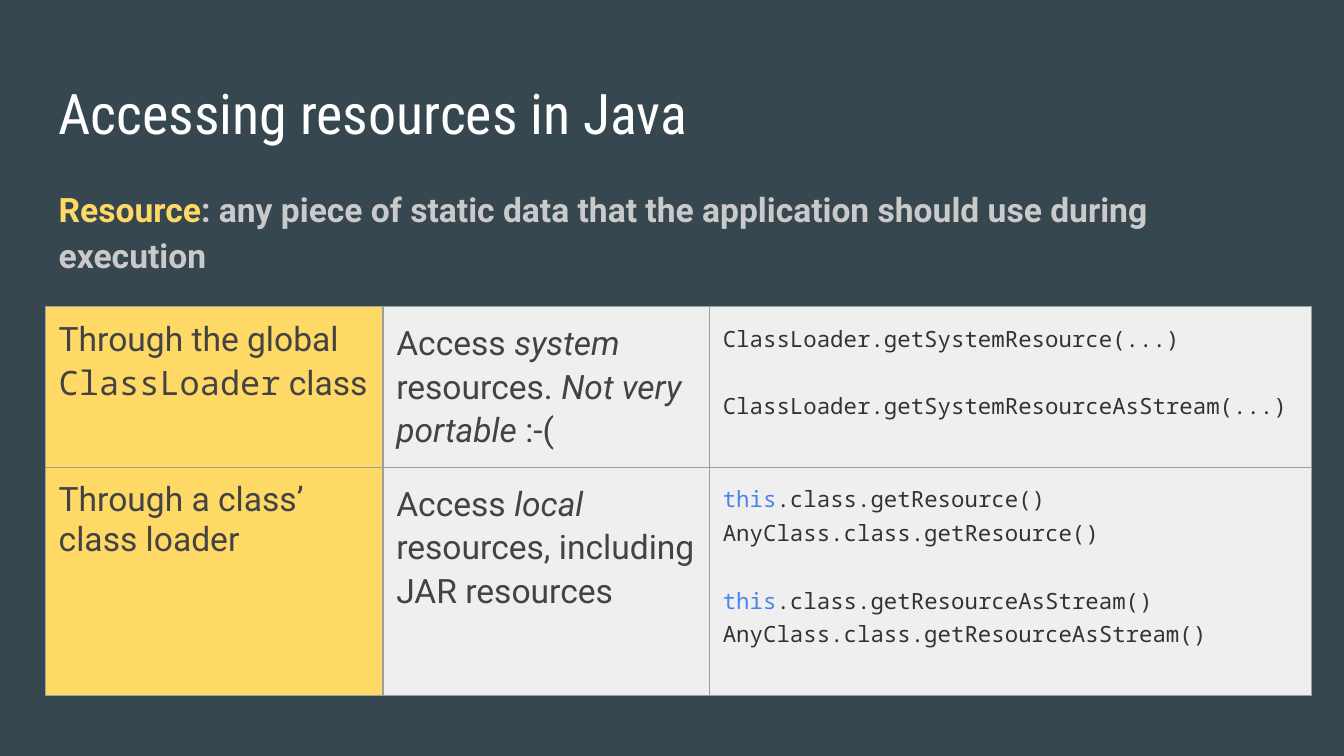
from dataclasses import dataclass

from lxml.etree import SubElement
from pptx import Presentation
from pptx.dml.color import RGBColor
from pptx.enum.text import MSO_ANCHOR
from pptx.oxml.ns import qn
from pptx.slide import Slide
from pptx.table import _Cell
from pptx.text.text import TextFrame
from pptx.util import Cm, Pt

COLORS = {
    "background": "37474F",
    "title": "FFFFFF",
    "accent": "FFD966",
    "definition": "CACACA",
    "cell": "EFEFEF",
    "border": "9E9E9E",
    "label": "434343",
    "code": "333333",
    "keyword": "4A86E8",
}

FORMATS = {
    "title": {"name": "Roboto Condensed", "size": Pt(30), "color": "title"},
    "term": {"name": "Roboto", "size": Pt(18), "bold": True, "color": "accent"},
    "definition": {"name": "Roboto", "size": Pt(18), "bold": True, "color": "definition"},
    "label": {"name": "Roboto", "size": Pt(18), "color": "label"},
    "emphasis": {"name": "Roboto", "size": Pt(18), "italic": True, "color": "label"},
    "class_name": {"name": "Noto Sans Mono", "size": Pt(18), "color": "label"},
    "code": {"name": "Noto Sans Mono", "size": Pt(12), "color": "code"},
    "keyword": {"name": "Noto Sans Mono", "size": Pt(12), "color": "keyword"},
}

MARGIN = Cm(0.25)
LEFT = Cm(0.86)
COLUMN_WIDTHS = [Cm(6.38), Cm(6.17), Cm(11.38)]
ROW_HEIGHTS = [Cm(2.95), Cm(4.31)]
TABLE_TOP = Cm(5.8)


@dataclass(frozen=True)
class Span:
    text: str
    style: str


@dataclass(frozen=True)
class Line:
    spans: list[Span]
    spacing: float = 1.0
    space_before: float = 0


@dataclass(frozen=True)
class TextBlock:
    top: Cm
    width: Cm
    height: Cm
    line: Line


@dataclass(frozen=True)
class AccessMethod:
    label: Line
    description: Line
    calls: list[Line]


def code_line(call: str, keyword: str = "", space_before: float = 0) -> Line:
    spans = [Span(keyword, "keyword")] if keyword else []
    return Line(spans + [Span(call, "code")], 1.11, space_before)


TEXT_BLOCKS = [
    TextBlock(Cm(1.24), Cm(23.67), Cm(1.6), Line([Span("Accessing resources in Java", "title")])),
    TextBlock(Cm(3.2), Cm(23.93), Cm(1.78), Line([
        Span("Resource", "term"),
        Span(": any piece of static data that the application should use during execution", "definition"),
    ], 1.15)),
]

ACCESS_METHODS = [
    AccessMethod(
        Line([Span("Through the global ", "label"), Span("ClassLoader", "class_name"), Span(" class", "label")]),
        Line([
            Span("Access ", "label"),
            Span("system", "emphasis"),
            Span(" resources. ", "label"),
            Span("Not very portable", "emphasis"),
            Span(" :-(", "label"),
        ], 1.11),
        [
            code_line("ClassLoader.getSystemResource(...)"),
            code_line("ClassLoader.getSystemResourceAsStream(...)", space_before=18),
        ],
    ),
    AccessMethod(
        Line([Span("Through a class’ class loader", "label")]),
        Line([
            Span("Access ", "label"),
            Span("local", "emphasis"),
            Span(" resources, including JAR resources", "label"),
        ], 1.11),
        [
            code_line(".class.getResource()", "this"),
            code_line("AnyClass.class.getResource()"),
            code_line(".class.getResourceAsStream()", "this", 18),
            code_line("AnyClass.class.getResourceAsStream()"),
        ],
    ),
]


def color(name: str) -> RGBColor:
    return RGBColor.from_string(COLORS[name])


def set_margins(target: TextFrame | _Cell) -> None:
    for side in ("left", "right", "top", "bottom"):
        setattr(target, f"margin_{side}", MARGIN)


def write_lines(frame: TextFrame, lines: list[Line]) -> None:
    for index, line in enumerate(lines):
        paragraph = frame.add_paragraph() if index else frame.paragraphs[0]
        paragraph.line_spacing = line.spacing
        paragraph.space_before = Pt(line.space_before)
        for span in line.spans:
            run = paragraph.add_run()
            run.text = span.text
            for attribute, value in FORMATS[span.style].items():
                if attribute == "color":
                    run.font.color.rgb = color(value)
                else:
                    setattr(run.font, attribute, value)


def draw_text_block(slide: Slide, block: TextBlock) -> None:
    frame = slide.shapes.add_textbox(LEFT, block.top, block.width, block.height).text_frame
    frame.word_wrap = True
    frame.vertical_anchor = MSO_ANCHOR.TOP
    set_margins(frame)
    write_lines(frame, [block.line])


def draw_borders(cell: _Cell) -> None:
    properties = cell._tc.get_or_add_tcPr()
    for side in ("lnL", "lnR", "lnT", "lnB"):
        border = SubElement(properties, qn(f"a:{side}"), w=str(Pt(0.75)))
        fill = SubElement(border, qn("a:solidFill"))
        SubElement(fill, qn("a:srgbClr"), val=COLORS["border"])


def draw_cell(cell: _Cell, lines: list[Line], fill_name: str) -> None:
    set_margins(cell)
    draw_borders(cell)
    cell.fill.solid()
    cell.fill.fore_color.rgb = color(fill_name)
    write_lines(cell.text_frame, lines)


def draw_table(slide: Slide, methods: list[AccessMethod]) -> None:
    table = slide.shapes.add_table(
        len(methods), len(COLUMN_WIDTHS), LEFT, TABLE_TOP, sum(COLUMN_WIDTHS), sum(ROW_HEIGHTS)
    ).table
    table.first_row = False
    table.horz_banding = False
    for column, width in zip(table.columns, COLUMN_WIDTHS):
        column.width = width
    for row, height, method in zip(table.rows, ROW_HEIGHTS, methods):
        row.height = height
        contents = [[method.label], [method.description], method.calls]
        for cell, lines, fill_name in zip(row.cells, contents, ("accent", "cell", "cell")):
            draw_cell(cell, lines, fill_name)


def main() -> None:
    presentation = Presentation()
    presentation.slide_width = Cm(25.4)
    presentation.slide_height = Cm(14.29)
    slide = presentation.slides.add_slide(presentation.slide_layouts[6])
    slide.background.fill.solid()
    slide.background.fill.fore_color.rgb = color("background")
    for block in TEXT_BLOCKS:
        draw_text_block(slide, block)
    draw_table(slide, ACCESS_METHODS)
    presentation.save("out.pptx")


if __name__ == "__main__":
    main()
